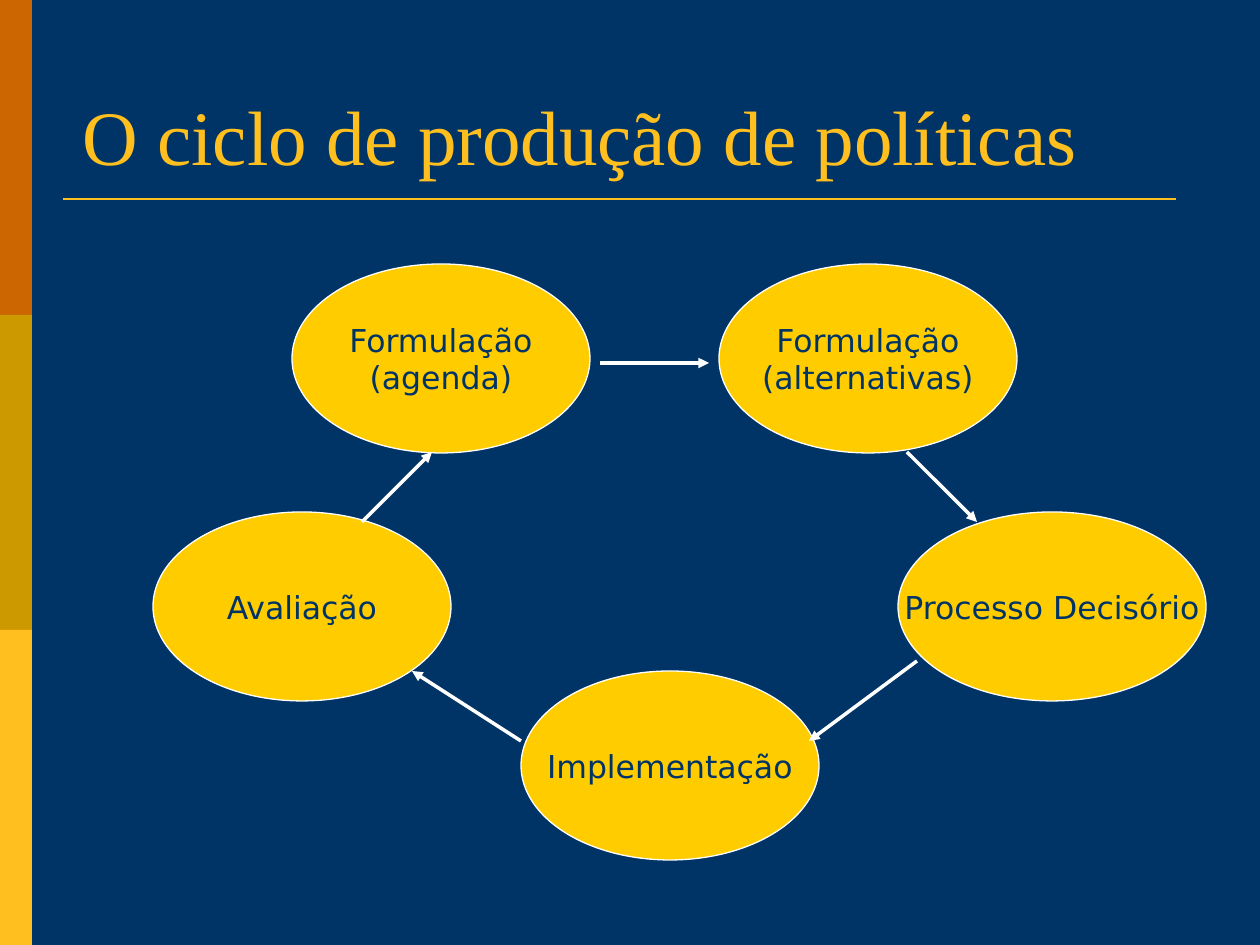
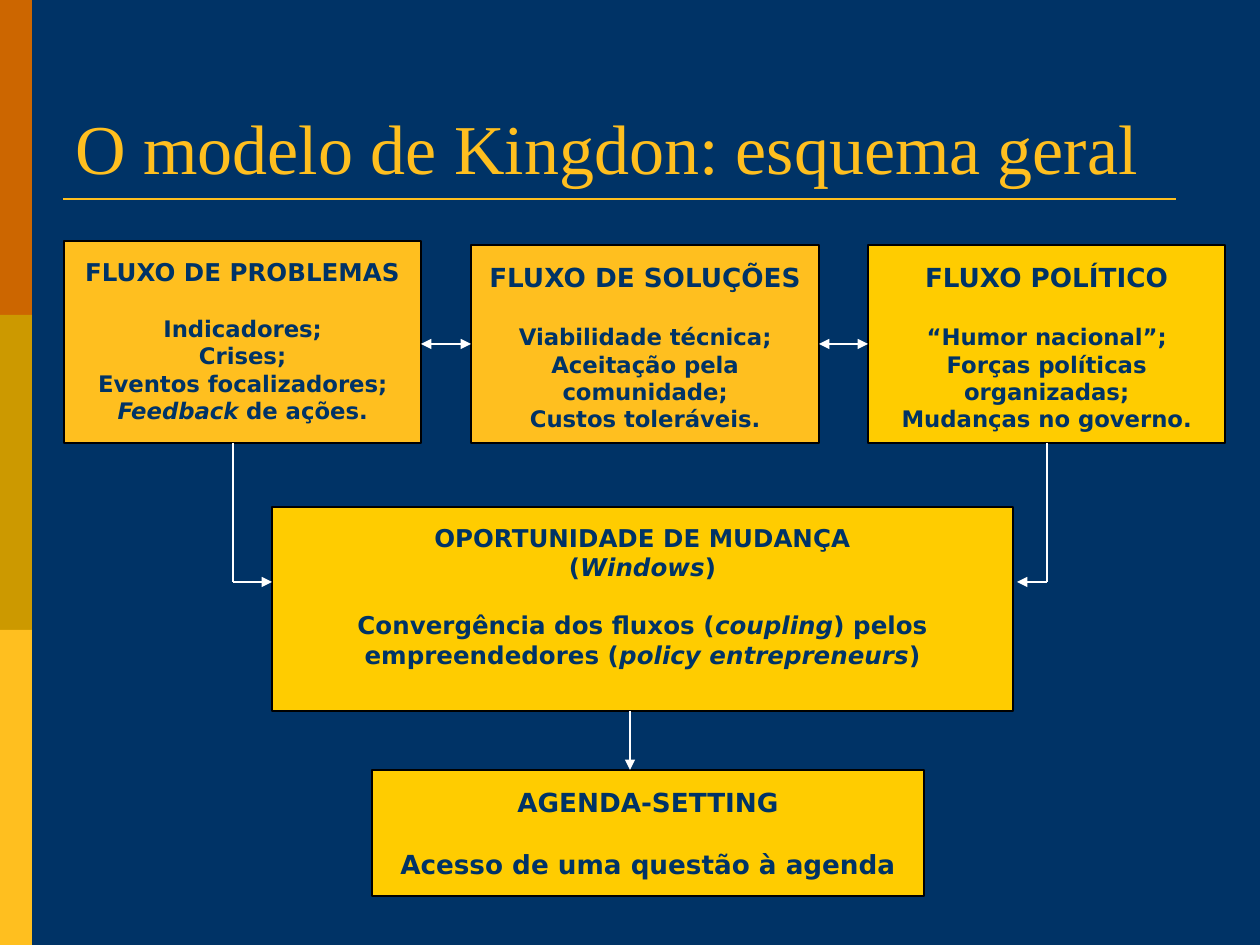
from lxml.etree import SubElement
from pptx import Presentation
from pptx.dml.color import RGBColor
from pptx.enum.shapes import MSO_CONNECTOR, MSO_SHAPE
from pptx.enum.text import MSO_ANCHOR, MSO_AUTO_SIZE, PP_ALIGN
from pptx.oxml.ns import qn
from pptx.util import Pt

EMU_PER_PX = 914400 / 126
PAGE_WIDTH, PAGE_HEIGHT = 1260, 945

NAVY = RGBColor(0x00, 0x33, 0x66)
ORANGE = RGBColor(0xCC, 0x66, 0x00)
OCHRE = RGBColor(0xCC, 0x99, 0x00)
AMBER = RGBColor(0xFF, 0xBF, 0x1F)
YELLOW = RGBColor(0xFF, 0xCC, 0x00)
WHITE = RGBColor(0xFF, 0xFF, 0xFF)
BLACK = RGBColor(0x00, 0x00, 0x00)

TITLE_FONT = "Times New Roman"
BODY_FONT = "DejaVu Sans"
LINE_HEIGHT = 1.16  # one body line relative to its font size
LEFT, RIGHT = 1, 3  # connection sites of a rectangle


def px(length):
    return round(length * EMU_PER_PX)


def apply(target, formats):
    for name, value in formats.items():
        setattr(target, name, value)


class SlideBuilder:
    """Holds the shared style and the slide being drawn."""

    def __init__(self):
        self.deck = Presentation()
        apply(self.deck, {"slide_width": px(PAGE_WIDTH), "slide_height": px(PAGE_HEIGHT)})
        background = self.deck.slide_master.background.fill
        background.solid()
        background.fore_color.rgb = NAVY
        self.page = None

    def start_page(self, title, size, area):
        self.page = self.deck.slides.add_slide(self.deck.slide_layouts[5])
        # Side bands and title rule
        band_height = PAGE_HEIGHT // 3
        for row, color in enumerate((ORANGE, OCHRE, AMBER)):
            self.shape(MSO_SHAPE.RECTANGLE, (0, row * band_height, 32, band_height), color)
        self.line((63, 199), (1176, 199), AMBER, 1.5)
        # Title
        box = self.page.shapes.title
        apply(box, dict(zip(("left", "top", "width", "height"), map(px, area))))
        apply(box.text_frame, {"vertical_anchor": MSO_ANCHOR.BOTTOM, "word_wrap": True,
                               "auto_size": MSO_AUTO_SIZE.NONE})
        para = box.text_frame.paragraphs[0]
        para.alignment = PP_ALIGN.LEFT
        self.add_spans(para, title, size, AMBER, TITLE_FONT)

    def add_spans(self, para, text, size, color=NAVY, font=BODY_FONT, bold=False):
        """Fill a paragraph; words between asterisks are italic."""
        for index, part in enumerate(text.split("*")):
            if part:
                span = para.add_run()
                span.text = part
                apply(span.font, {"name": font, "size": Pt(size), "bold": bold,
                                  "italic": index % 2 == 1})
                span.font.color.rgb = color

    def shape(self, kind, area, fill, outline=None):
        box = self.page.shapes.add_shape(kind, *map(px, area))
        box.shadow.inherit = False
        box.fill.solid()
        box.fill.fore_color.rgb = fill
        if outline is None:
            box.line.fill.background()
        else:
            box.line.color.rgb = outline
            box.line.width = Pt(0.75)
        return box

    def stage(self, area, lines):
        box = self.shape(MSO_SHAPE.OVAL, area, YELLOW, WHITE)
        frame = box.text_frame
        apply(frame, {"word_wrap": False, "vertical_anchor": MSO_ANCHOR.MIDDLE})
        for index, text in enumerate(lines):
            para = frame.add_paragraph() if index else frame.paragraphs[0]
            para.alignment = PP_ALIGN.CENTER
            self.add_spans(para, text, 18)

    def card(self, area, fill, heading, heading_size, body, body_size):
        box = self.shape(MSO_SHAPE.RECTANGLE, area, fill, BLACK)
        frame = box.text_frame
        apply(frame, {"word_wrap": True, "vertical_anchor": MSO_ANCHOR.TOP,
                      "margin_top": px(16)})
        for index, text in enumerate(heading + body):
            para = frame.add_paragraph() if index else frame.paragraphs[0]
            para.alignment = PP_ALIGN.CENTER
            if index == len(heading):
                para.space_before = Pt(round(heading_size * LINE_HEIGHT, 1))
            size = heading_size if index < len(heading) else body_size
            self.add_spans(para, text, size, bold=True)
        return box

    def line(self, start, end, color=WHITE, width=0.75, heads=(), join_start=None, join_end=None):
        """Straight line; heads lists headEnd (start) and tailEnd (end)."""
        link = self.page.shapes.add_connector(MSO_CONNECTOR.STRAIGHT, *map(px, start + end))
        link.line.color.rgb = color
        link.line.width = Pt(width)
        properties = link._element.spPr
        for head in heads:
            SubElement(properties.find(qn("a:ln")), qn(f"a:{head}"), type="triangle")
        SubElement(properties, qn("a:effectLst"))
        if join_start:
            link.begin_connect(*join_start)
        if join_end:
            link.end_connect(*join_end)


def draw_policy_cycle(builder):
    builder.start_page("O ciclo de produção de políticas", 44, (70, 45, 1120, 142))

    # Stages
    for left, top, width, lines in (
        (292, 264, 298, ["Formulação", "(agenda)"]),
        (719, 264, 298, ["Formulação", "(alternativas)"]),
        (898, 512, 308, ["Processo Decisório"]),
        (521, 671, 298, ["Implementação"]),
        (153, 512, 298, ["Avaliação"]),
    ):
        builder.stage((left, top, width, 189), lines)

    # Arrows around the cycle
    for start, end in (
        ((600, 363), (709, 363)),
        ((907, 452), (977, 522)),
        ((917, 661), (809, 741)),
        ((521, 741), (412, 671)),
        ((362, 522), (432, 452)),
    ):
        builder.line(start, end, width=2, heads=["tailEnd"])


def draw_kingdon_model(builder):
    builder.start_page("O modelo de Kingdon: esquema geral", 40, (63, 38, 1134, 157))

    # Three streams
    builder.card((64, 241, 357, 202), AMBER, ["FLUXO DE PROBLEMAS"], 14,
                 ["Indicadores;", "Crises;", "Eventos focalizadores;",
                  "*Feedback* de ações."], 13)
    solutions = builder.card((471, 245, 348, 198), AMBER, ["FLUXO DE SOLUÇÕES"], 15,
                             ["Viabilidade técnica;", "Aceitação pela comunidade;",
                              "Custos toleráveis."], 13)
    politics = builder.card((868, 245, 357, 198), YELLOW, ["FLUXO POLÍTICO"], 15,
                            ["“Humor nacional”;", "Forças políticas organizadas;",
                             "Mudanças no governo."], 13)

    # Window of opportunity and agenda
    builder.card((272, 507, 741, 204), YELLOW, ["OPORTUNIDADE DE MUDANÇA", "(*Windows*)"], 14,
                 ["Convergência dos fluxos (*coupling*) pelos empreendedores "
                  "(*policy entrepreneurs*)"], 14)
    builder.card((372, 770, 552, 126), YELLOW, ["AGENDA-SETTING"], 15,
                 ["Acesso de uma questão à agenda"], 15)

    # Two-way arrows between streams
    both = ["headEnd", "tailEnd"]
    builder.line((421, 344), (471, 344), heads=both, join_end=(solutions, LEFT))
    builder.line((819, 344), (868, 344), heads=both,
                 join_start=(solutions, RIGHT), join_end=(politics, LEFT))

    # Outer streams down to the window, then on to the agenda
    for stem, target in ((233, 272), (1047, 1017)):
        builder.line((stem, 443), (stem, 582))
        builder.line((stem, 582), (target, 582), heads=["tailEnd"])
    builder.line((630, 711), (630, 770), heads=["tailEnd"])


def main():
    builder = SlideBuilder()
    draw_policy_cycle(builder)
    draw_kingdon_model(builder)
    builder.deck.save("out.pptx")


if __name__ == "__main__":
    main()
